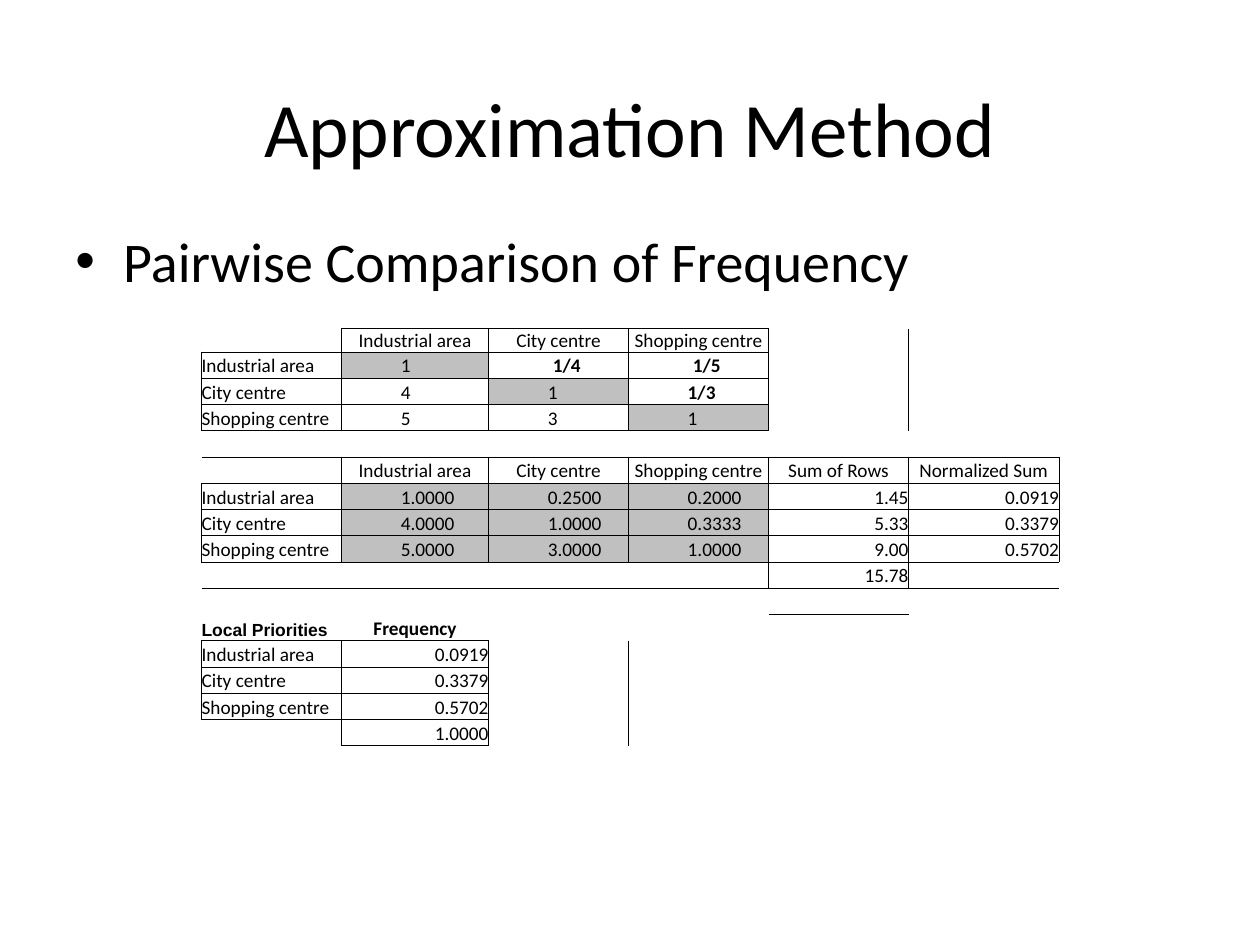
from typing import NamedTuple

from lxml.etree import SubElement as Sub
from pptx import Presentation
from pptx.dml.color import RGBColor
from pptx.enum.text import MSO_ANCHOR as Anchor, PP_ALIGN as Align
from pptx.oxml.ns import qn
from pptx.util import Inches, Pt

BLACK = RGBColor(0x00, 0x00, 0x00)
GREY = RGBColor(0xC0, 0xC0, 0xC0)
PLAIN = "{2D5ABB26-0587-4C30-8999-92F81FD0307C}"
COLS = (80, 84, 80, 80, 80, 86)
ROWS = (12,) + (15,) * 15
SIDES = {"a:lnL": (0, -1), "a:lnR": (0, 1), "a:lnT": (-1, 0), "a:lnB": (1, 0)}


class Style(NamedTuple):
    align: Align = Align.LEFT
    inset: float = 0
    bold: bool = False
    fill: RGBColor | None = None
    boxed: bool = True
    face: str = "Calibri"
    size: int = 11


class Entry(NamedTuple):
    text: str
    style: Style


class Block(NamedTuple):
    row: int
    col: int
    style: Style
    lines: tuple[str, ...]


NAME = Style()
HEAD = Style(Align.CENTER)
VALUE = Style(inset=0.47)
SHADE = VALUE._replace(fill=GREY)
BOLD = VALUE._replace(bold=True)
RATIO = BOLD._replace(inset=0.51)
SUM = Style(Align.RIGHT)
LABEL = Style(bold=True, boxed=False, face="Arial", size=10)
TOPIC = Style(Align.CENTER, bold=True, boxed=False)

AREAS = ("Industrial area", "City centre", "Shopping centre")
SCORES = ("0.0919", "0.3379", "0.5702")
BLOCKS = (
    *(Block(row, 0, NAME, AREAS) for row in (1, 6, 12)),
    *(Block(row, col, HEAD, (area,))
      for row in (0, 5) for col, area in enumerate(AREAS, 1)),
    *(Block(step, step, SHADE, ("1",)) for step in (1, 2, 3)),
    Block(2, 1, VALUE, ("4", "5")),
    Block(3, 2, VALUE, ("3",)),
    Block(1, 2, RATIO, ("1/4",)),
    Block(1, 3, RATIO, ("1/5",)),
    Block(2, 3, BOLD, ("1/3",)),
    Block(6, 1, SHADE, ("1.0000", "4.0000", "5.0000")),
    Block(6, 2, SHADE, ("0.2500", "1.0000", "3.0000")),
    Block(6, 3, SHADE, ("0.2000", "0.3333", "1.0000")),
    Block(5, 4, HEAD, ("Sum of Rows",)),
    Block(6, 4, SUM, ("1.45", "5.33", "9.00", "15.78")),
    Block(5, 5, HEAD, ("Normalized Sum",)),
    Block(6, 5, SUM, SCORES),
    Block(11, 0, LABEL, ("Local Priorities",)),
    Block(11, 1, TOPIC, ("Frequency",)),
    Block(12, 1, SUM, SCORES + ("1.0000",)),
)
GRID = {(block.row + step, block.col): Entry(text, block.style)
        for block in BLOCKS for step, text in enumerate(block.lines)}
BLANK = Entry("", Style(boxed=False))


def set_font(para, face: str, size: float, bold: bool = False) -> None:
    font = para.font
    font.name, font.size, font.bold = face, Pt(size), bold
    font.color.rgb = BLACK


def draw_edges(cell, row: int, col: int) -> None:
    props = cell._tc.get_or_add_tcPr()
    here = GRID.get((row, col), BLANK).style.boxed
    for tag, (down, right) in SIDES.items():
        near = GRID.get((row + down, col + right), BLANK).style.boxed
        if here or near:
            line = Sub(props, qn(tag), w=str(Pt(0.5)))
            fill = Sub(line, qn("a:solidFill"))
            Sub(fill, qn("a:srgbClr"), val=str(BLACK))


def draw_cell(cell, row: int, col: int) -> None:
    text, style = GRID.get((row, col), BLANK)
    draw_edges(cell, row, col)
    if style.fill is None:
        cell.fill.background()
    else:
        cell.fill.solid()
        cell.fill.fore_color.rgb = style.fill
    cell.margin_left = Inches(style.inset)
    cell.margin_right = cell.margin_top = cell.margin_bottom = 0
    cell.vertical_anchor = Anchor.BOTTOM
    para = cell.text_frame.paragraphs[0]
    para.alignment = style.align
    set_font(para, style.face, style.size, style.bold)
    if text:
        para.add_run().text = text
    else:
        Sub(para._p, qn("a:endParaRPr"), sz=str(style.size * 100))


def draw_table(slide) -> None:
    frame = slide.shapes.add_table(
        len(ROWS), len(COLS), Inches(1.6), Inches(2.61),
        Pt(sum(COLS)), Pt(sum(ROWS)))
    table = frame.table
    table.first_row = table.horz_banding = False
    table._tbl.tblPr.find(qn("a:tableStyleId")).text = PLAIN
    for col, width in enumerate(COLS):
        table.columns[col].width = Pt(width)
    for row, height in enumerate(ROWS):
        table.rows[row].height = Pt(height)
        for col in range(len(COLS)):
            draw_cell(table.cell(row, col), row, col)


def place(shape, left: float, top: float, width: float, height: float) -> None:
    shape.left, shape.top = Inches(left), Inches(top)
    shape.width, shape.height = Inches(width), Inches(height)


def draw_title(slide) -> None:
    title = slide.shapes.title
    place(title, 0.5, 0.38, 9, 1.25)
    title.text_frame.text = "Approximation Method"
    title.text_frame.vertical_anchor = Anchor.MIDDLE
    para = title.text_frame.paragraphs[0]
    para.alignment = Align.CENTER
    set_font(para, "Calibri", 44)


def draw_point(slide) -> None:
    box = slide.shapes.add_textbox(0, 0, 0, 0)
    place(box, 0.5, 1.75, 9, 0.7)
    box.text_frame.word_wrap = True
    para = box.text_frame.paragraphs[0]
    para.text = "Pairwise Comparison of Frequency"
    props = para._p.get_or_add_pPr()
    props.set("marL", str(Inches(0.38)))
    props.set("indent", str(-Inches(0.38)))
    Sub(props, qn("a:buFont"), typeface="Arial")
    Sub(props, qn("a:buChar"), char="•")
    set_font(para, "Calibri", 32)


def main() -> None:
    deck = Presentation()
    deck.slide_width, deck.slide_height = Inches(10), Inches(7.5)
    slide = deck.slides.add_slide(deck.slide_layouts[5])
    draw_title(slide)
    draw_point(slide)
    draw_table(slide)
    deck.save("out.pptx")


if __name__ == "__main__":
    main()
